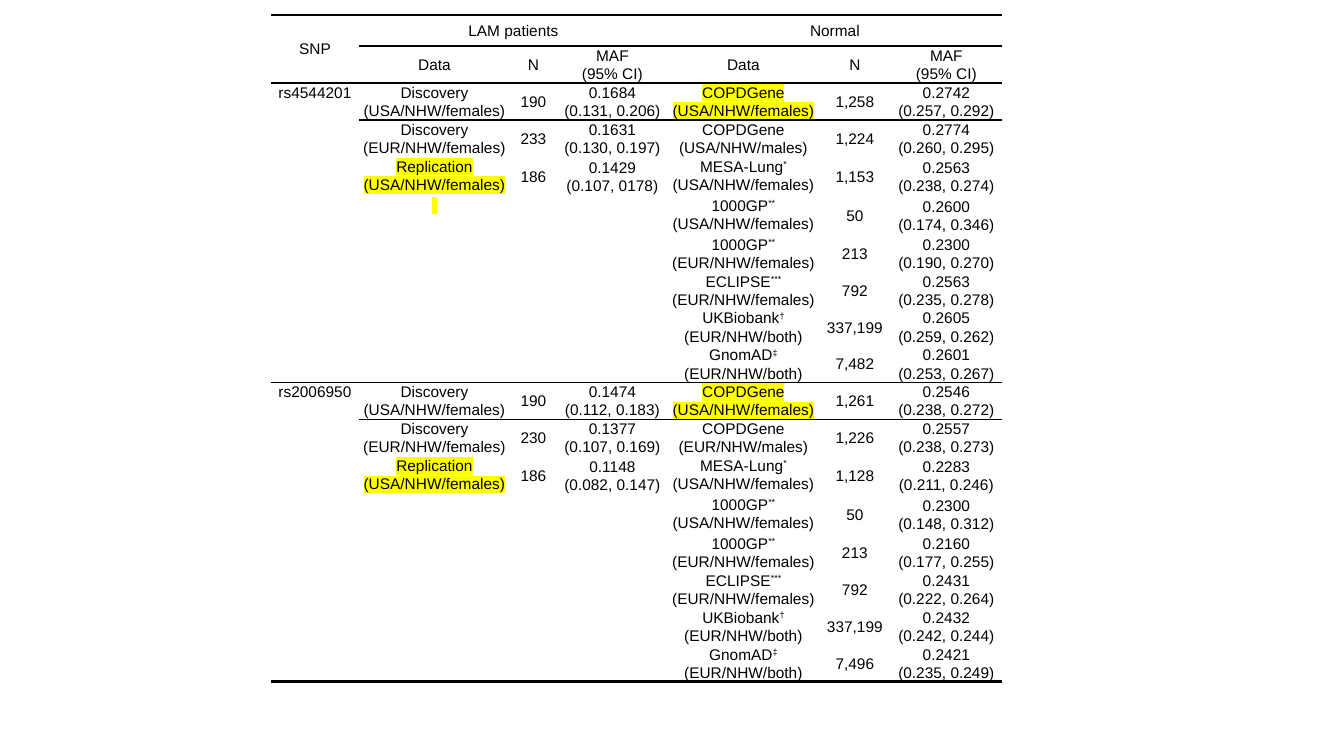
"""Build a slide with a table of SNP allele frequencies in LAM patients and normal cohorts."""
import lxml.etree
import pptx
import pptx.dml.color
import pptx.enum.text
import pptx.oxml.ns
import pptx.util

PX = 914400 / 100.8
FONT = "Arial"
BLACK = "000000"
YELLOW = "FFFF00"
NO_GRID_STYLE = "{2D5ABB26-0587-4C30-8999-92F81FD0307C}"
qn = pptx.oxml.ns.qn


def write_cell(cell, lines, mark="", highlight=False, anchor="MIDDLE"):
    cell.vertical_anchor = getattr(pptx.enum.text.MSO_ANCHOR, anchor)
    for index, line in enumerate(lines):
        paragraph = cell.text_frame.paragraphs[0] if index == 0 else cell.text_frame.add_paragraph()
        paragraph.alignment = pptx.enum.text.PP_ALIGN.CENTER
        paragraph.line_spacing = 1.07
        pieces = [(line, False)]
        if mark and index == 0:
            pieces.append((mark, True))
        for text, raised in pieces:
            run = paragraph.add_run()
            run.text = text
            run.font.size = pptx.util.Pt(11)
            run.font.color.rgb = pptx.dml.color.RGBColor.from_string(BLACK)
            properties = run._r.get_or_add_rPr()
            if raised:
                properties.set("baseline", "30000")
            if highlight:
                marker = lxml.etree.SubElement(properties, qn("a:highlight"))
                lxml.etree.SubElement(marker, qn("a:srgbClr"), val=YELLOW)
            run.font.name = FONT


def add_border(cell, side, points):
    properties = cell._tc.get_or_add_tcPr()
    line = lxml.etree.Element(qn(f"a:ln{side}"), w=str(int(points * 12700)))
    fill = lxml.etree.SubElement(line, qn("a:solidFill"))
    lxml.etree.SubElement(fill, qn("a:srgbClr"), val=BLACK)
    properties.insert(0, line)


patient_cohorts = [
    ("Discovery", "(USA/NHW/females)", False),
    ("Discovery", "(EUR/NHW/females)", False),
    ("Replication", "(USA/NHW/females)", True),
]
normal_cohorts = [
    ("COPDGene", "", "(USA/NHW/females)"),
    ("COPDGene", "", "({}/NHW/males)"),
    ("MESA-Lung", "*", "(USA/NHW/females)"),
    ("1000GP", "**", "(USA/NHW/females)"),
    ("1000GP", "**", "(EUR/NHW/females)"),
    ("ECLIPSE", "***", "(EUR/NHW/females)"),
    ("UKBiobank", "†", "(EUR/NHW/both)"),
    ("GnomAD", "‡", "(EUR/NHW/both)"),
]
snps = [
    ("rs4544201", "USA",
     [("190", "0.1684", "(0.131, 0.206)"), ("233", "0.1631", "(0.130, 0.197)"),
      ("186", "0.1429", "(0.107, 0178)")],
     [("1,258", "0.2742", "(0.257, 0.292)"), ("1,224", "0.2774", "(0.260, 0.295)"),
      ("1,153", "0.2563", "(0.238, 0.274)"), ("50", "0.2600", "(0.174, 0.346)"),
      ("213", "0.2300", "(0.190, 0.270)"), ("792", "0.2563", "(0.235, 0.278)"),
      ("337,199", "0.2605", "(0.259, 0.262)"), ("7,482", "0.2601", "(0.253, 0.267)")]),
    ("rs2006950", "EUR",
     [("190", "0.1474", "(0.112, 0.183)"), ("230", "0.1377", "(0.107, 0.169)"),
      ("186", "0.1148", "(0.082, 0.147)")],
     [("1,261", "0.2546", "(0.238, 0.272)"), ("1,226", "0.2557", "(0.238, 0.273)"),
      ("1,128", "0.2283", "(0.211, 0.246)"), ("50", "0.2300", "(0.148, 0.312)"),
      ("213", "0.2160", "(0.177, 0.255)"), ("792", "0.2431", "(0.222, 0.264)"),
      ("337,199", "0.2432", "(0.242, 0.244)"), ("7,496", "0.2421", "(0.235, 0.249)")]),
]
column_widths = [88, 151, 47, 111, 151, 72, 111]
row_heights = [31, 37] + [37, 37, 39, 39, 37, 36, 37, 36] * len(snps)
row_count = len(row_heights)
block_size = len(normal_cohorts)

presentation = pptx.Presentation()
presentation.slide_width = round(1344 * PX)
presentation.slide_height = round(756 * PX)
slide = presentation.slides.add_slide(presentation.slide_layouts[6])

frame = slide.shapes.add_table(
    row_count, len(column_widths), round(271 * PX), round(15 * PX),
    round(sum(column_widths) * PX), round(sum(row_heights) * PX))
frame.element.find(".//" + qn("a:tableStyleId")).text = NO_GRID_STYLE
table = frame.table
table.first_row = False
table.horz_banding = False
for column, width in zip(table.columns, column_widths):
    column.width = round(width * PX)
for row, height in zip(table.rows, row_heights):
    row.height = round(height * PX)
for cell in table.iter_cells():
    cell.margin_left = cell.margin_right = round(3 * PX)
    cell.margin_top = cell.margin_bottom = 0
    cell.fill.background()

write_cell(table.cell(0, 0), ["SNP"])
table.cell(0, 0).merge(table.cell(1, 0))
for first_column, group in [(1, "LAM patients"), (4, "Normal")]:
    write_cell(table.cell(0, first_column), [group])
    table.cell(0, first_column).merge(table.cell(0, first_column + 2))
    for offset, lines in enumerate([["Data"], ["N"], ["MAF", "(95% CI)"]]):
        write_cell(table.cell(1, first_column + offset), lines)

for block, (snp, male_region, patient_values, normal_values) in enumerate(snps):
    top = 2 + block * block_size
    write_cell(table.cell(top, 0), [snp], anchor="TOP")
    table.cell(top, 0).merge(table.cell(top + block_size - 1, 0))
    for index, (name, population, highlight) in enumerate(patient_cohorts):
        write_cell(table.cell(top + index, 1), [name, population], highlight=highlight, anchor="TOP")
    for index, (name, mark, population) in enumerate(normal_cohorts):
        write_cell(table.cell(top + index, 4), [name, population.format(male_region)],
                   mark, highlight=index == 0, anchor="TOP")
    for first_column, values in [(2, patient_values), (5, normal_values)]:
        for index, (count, frequency, interval) in enumerate(values):
            write_cell(table.cell(top + index, first_column), [count])
            write_cell(table.cell(top + index, first_column + 1), [frequency, interval])
write_cell(table.cell(5, 1), [" "], highlight=True, anchor="TOP")

top_borders = {0: 2.25, 1: 1, 2: 1, 10: 1}
bottom_borders = {0: 1, 1: 1, 9: 1, 17: 2.25}
for row in range(row_count):
    for column in range(len(column_widths)):
        cell = table.cell(row, column)
        last_row = row + cell.span_height - 1 if cell.is_merge_origin else row
        if last_row in bottom_borders:
            add_border(cell, "B", bottom_borders[last_row])
        if row in top_borders and (row, column) != (1, 0):
            add_border(cell, "T", top_borders[row])

presentation.save("out.pptx")
